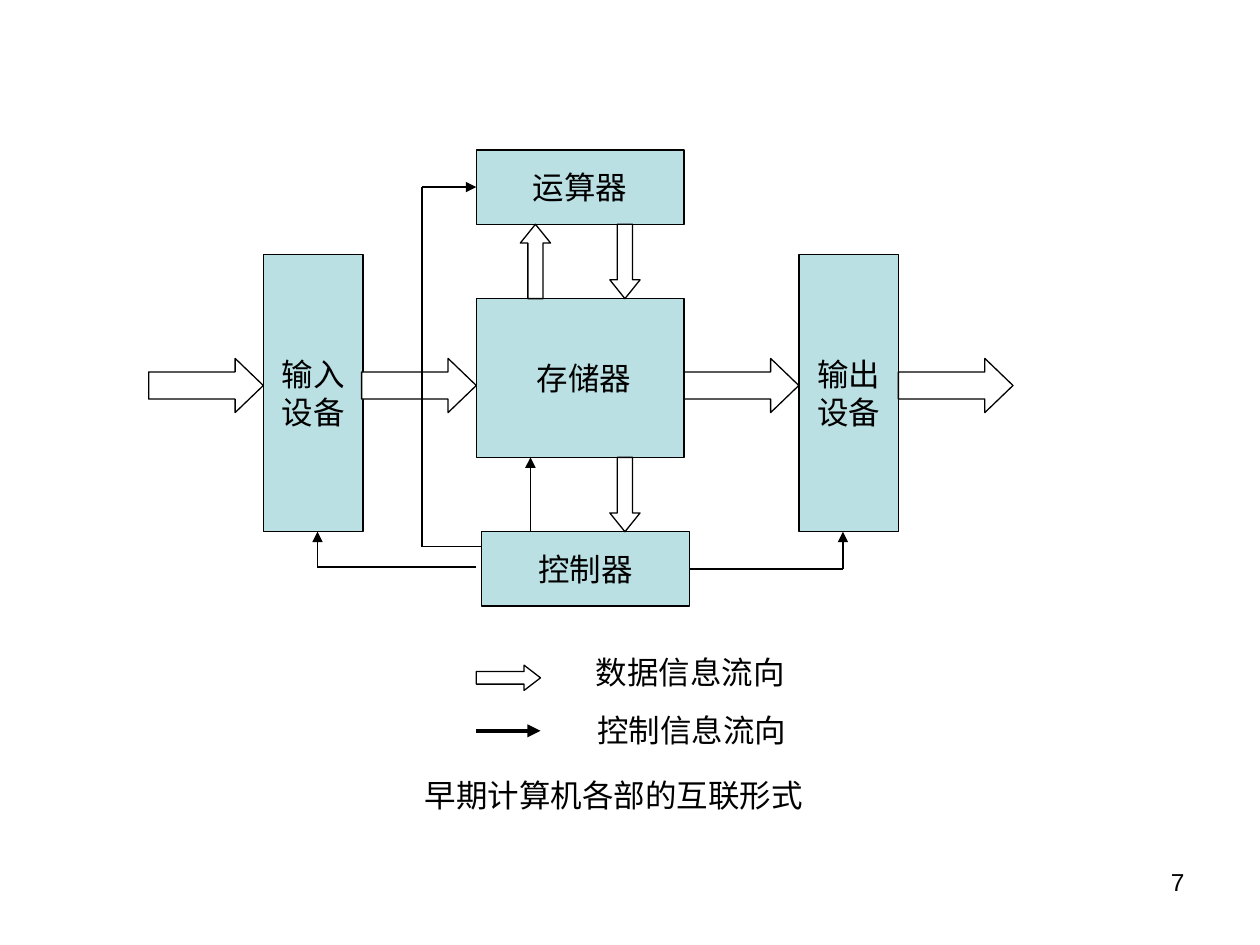
"""Build a slide showing how the parts of an early computer were connected."""
from lxml import etree
from pptx import Presentation
from pptx.dml.color import RGBColor
from pptx.enum.shapes import MSO_CONNECTOR, MSO_SHAPE
from pptx.enum.text import MSO_ANCHOR, MSO_AUTO_SIZE, PP_ALIGN
from pptx.oxml.ns import qn
from pptx.util import Inches, Pt

BLACK = RGBColor(0x00, 0x00, 0x00)
WHITE = RGBColor(0xFF, 0xFF, 0xFF)
PALE_TEAL = RGBColor(0xBB, 0xE0, 0xE3)
RECTANGLE = MSO_SHAPE.RECTANGLE
RIGHT, UP, DOWN = MSO_SHAPE.RIGHT_ARROW, MSO_SHAPE.UP_ARROW, MSO_SHAPE.DOWN_ARROW
STRAIGHT = MSO_CONNECTOR.STRAIGHT
MIDDLE, TOP = MSO_ANCHOR.MIDDLE, MSO_ANCHOR.TOP
LEFT_ALIGN, CENTER, RIGHT_ALIGN = PP_ALIGN.LEFT, PP_ALIGN.CENTER, PP_ALIGN.RIGHT
NO_FIT = MSO_AUTO_SIZE.NONE
TITLE_ONLY = 5

deck = Presentation()
deck.slide_width, deck.slide_height = Inches(10), Inches(7.5)
COLUMN = deck.slide_width / 100
ROW = deck.slide_height / 75
page = deck.slides.add_slide(deck.slide_layouts[TITLE_ONLY])


def add_block(kind, left, top, width, height, fill):
    block = page.shapes.add_shape(
        kind, int(left * COLUMN), int(top * ROW), int(width * COLUMN), int(height * ROW))
    block.shadow.inherit = False
    block.fill.solid()
    block.fill.fore_color.rgb = fill
    block.line.color.rgb = BLACK
    block.line.width = Pt(0.75)
    return block


def write(box, text, align, anchor, size=18, wrap=False):
    frame = box.text_frame
    frame.text = text
    frame.auto_size = NO_FIT
    frame.word_wrap = wrap
    frame.vertical_anchor = anchor
    for para in frame.paragraphs:
        para.alignment = align
        para.font.name = "Arial"
        para.font.size = Pt(size)
        para.font.color.rgb = BLACK


units = {}
for name, text, left, top, width, height in (
    ("memory", " 存储器", 37.8, 23.7, 16.5, 12.6),
    ("control", "控制器", 38.2, 42.2, 16.5, 5.9),
    ("arithmetic", "运算器", 37.8, 11.9, 16.5, 5.9),
    ("input", "输入\n设备", 20.9, 20.2, 7.9, 22),
    ("output", "输出\n设备", 63.4, 20.2, 7.9, 22),
):
    units[name] = add_block(RECTANGLE, left, top, width, height, PALE_TEAL)
    write(units[name], text, CENTER, MIDDLE)

for kind, left, top, width, height, head in (
    (RIGHT, 11.8, 28.45, 9.1, 4.3, 0.52),
    (RIGHT, 28.7, 28.45, 9.1, 4.3, 0.52),
    (RIGHT, 54.3, 28.45, 9.1, 4.3, 0.52),
    (RIGHT, 71.3, 28.45, 9.1, 4.3, 0.52),
    (UP, 41.3, 17.8, 2.4, 5.9, 0.62),
    (DOWN, 48.4, 17.8, 2.4, 5.9, 0.62),
    (DOWN, 48.4, 36.3, 2.4, 5.9, 0.62),
    (RIGHT, 37.8, 52.8, 5.1, 2, 0.65),
):
    data_arrow = add_block(kind, left, top, width, height, WHITE)
    data_arrow.adjustments[0] = 0.5
    data_arrow.adjustments[1] = head

for start_x, start_y, end_x, end_y, weight, arrow, start_unit, end_unit in (
    (42.1, 42.2, 42.1, 36.3, 0.75, True, None, None),
    (54.7, 45.15, 66.9, 45.15, 0.75, False, "control", None),
    (66.9, 45.15, 66.9, 42.2, 0.75, True, None, None),
    (37.8, 45, 25.2, 45, 0.75, False, None, None),
    (25.2, 45, 25.2, 42.2, 0.75, True, None, None),
    (38.2, 43.4, 33.5, 43.4, 0.75, False, None, None),
    (33.5, 43.4, 33.5, 14.85, 0.75, False, None, None),
    (33.5, 14.85, 37.8, 14.85, 0.75, True, None, "arithmetic"),
    (37.8, 58, 42.9, 58, 2.5, True, None, None),
):
    wire = page.shapes.add_connector(
        STRAIGHT, int(start_x * COLUMN), int(start_y * ROW),
        int(end_x * COLUMN), int(end_y * ROW))
    wire.line.color.rgb = BLACK
    wire.line.width = Pt(weight)
    if arrow:
        etree.SubElement(wire.line._get_or_add_ln(), qn("a:tailEnd"), type="triangle")
    etree.SubElement(wire._element.spPr, qn("a:effectLst"))
    if start_unit:
        wire.begin_connect(units[start_unit], 3)
    if end_unit:
        wire.end_connect(units[end_unit], 1)

caption = page.shapes.title
caption.left, caption.top = int(32.7 * COLUMN), int(61.1 * ROW)
caption.width, caption.height = int(34 * COLUMN), int(4 * ROW)
write(caption, "早期计算机各部的互联形式", LEFT_ALIGN, TOP)

for text, left, top, width, height, align, size, wrap in (
    ("数据信息流向", 46.3, 51.3, 17, 4, LEFT_ALIGN, 18, False),
    ("控制信息流向", 46.4, 55.9, 17, 4, LEFT_ALIGN, 18, False),
    ("7", 71.7, 68.3, 23.3, 5.2, RIGHT_ALIGN, 14, True),
):
    label = page.shapes.add_textbox(
        int(left * COLUMN), int(top * ROW), int(width * COLUMN), int(height * ROW))
    write(label, text, align, TOP, size, wrap)

deck.save("out.pptx")
